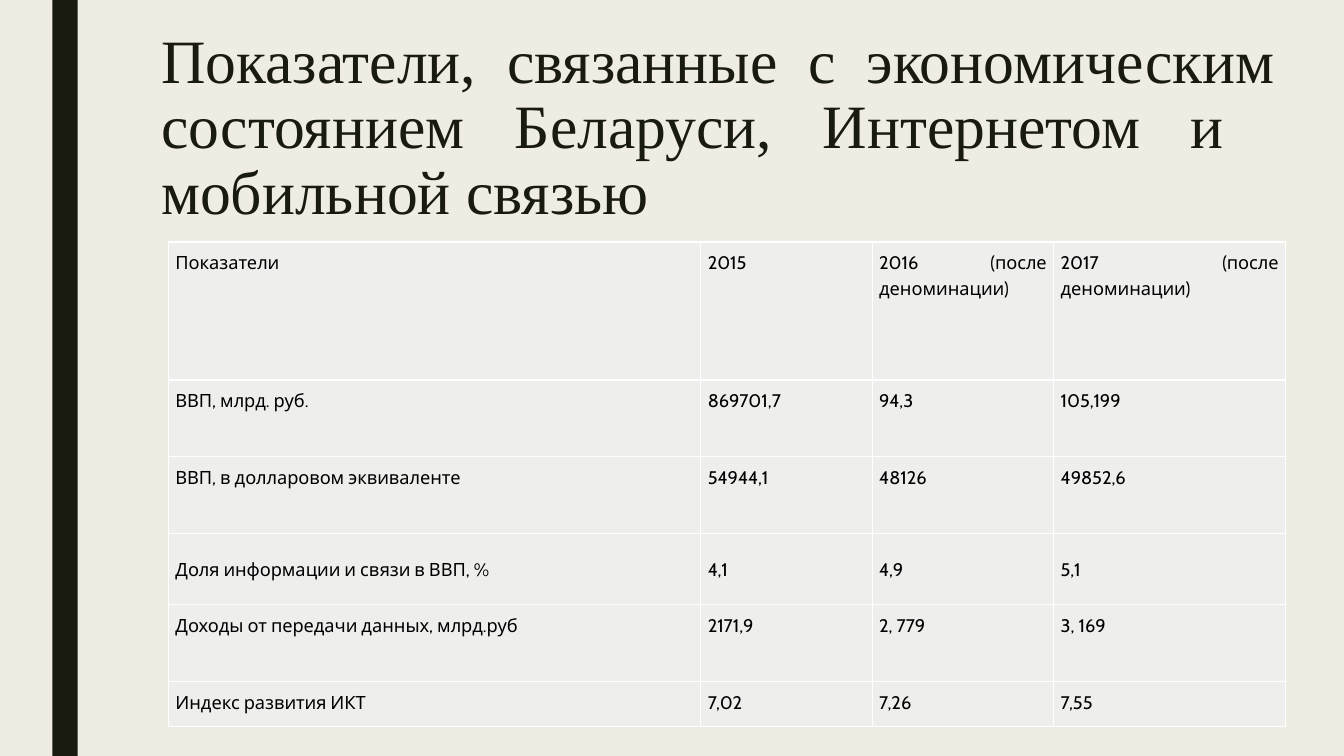
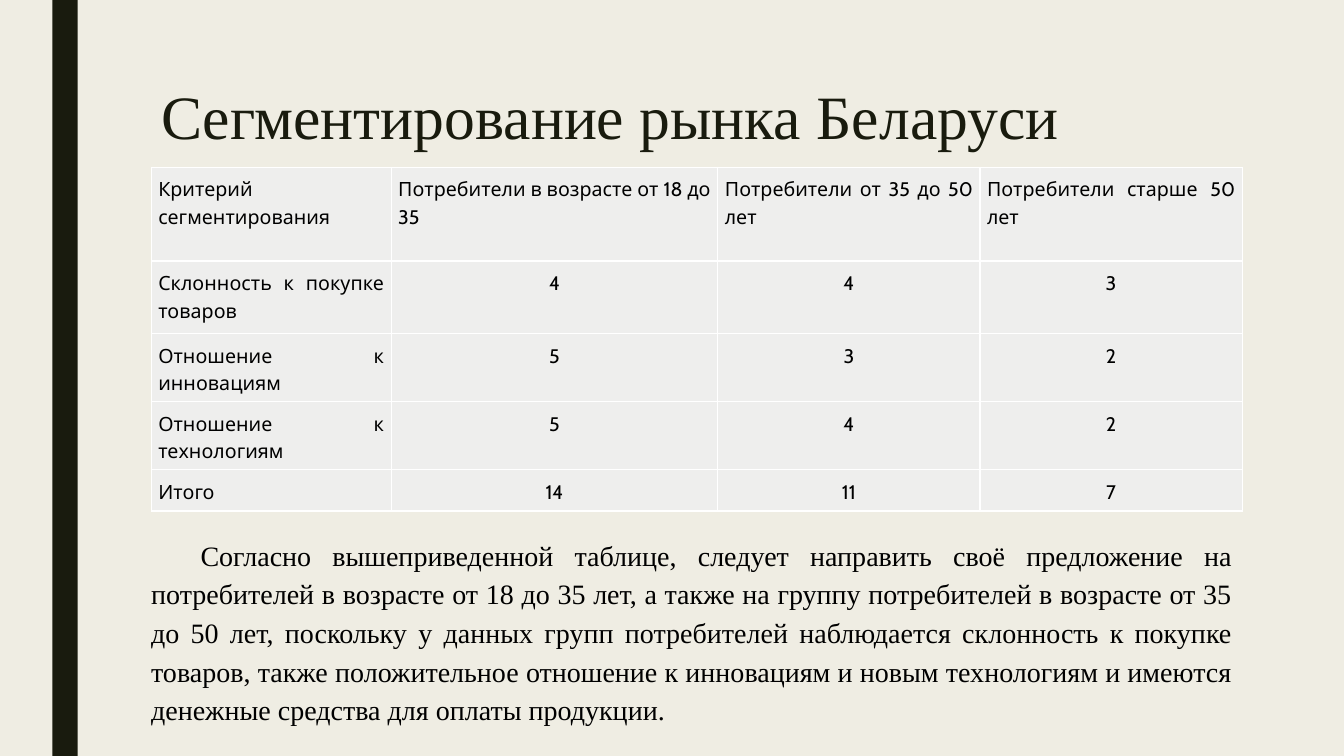
from lxml import etree
from pptx import Presentation
from pptx.dml.color import RGBColor
from pptx.enum.shapes import MSO_SHAPE
from pptx.enum.text import MSO_ANCHOR as Anchor, PP_ALIGN as Align
from pptx.oxml.ns import qn
from pptx.util import Inches, Pt

COLORS = {"background": "EFEDE3", "dark": "191B0E", "text": "000000",
          "cell": "EEEEED", "border": "FFFFFF"}
TITLE_FONT = BODY_FONT = "Times New Roman"
TABLE_FONT = "Cabin"
CELL_MARGIN = 0.07
LINE_SPACING = 1.15

# Content: boxes are left, top, width, height in inches
ECONOMY = {
    "title": "Показатели, связанные с экономическим состоянием Беларуси, "
             "Интернетом и  мобильной связью",
    "title_box": (1.5, 0.27, 11.25, 2.02),
    "title_align": Align.JUSTIFY,
    "table_origin": (1.67, 2.4),
    "font_size": 13,
    "value_align": Align.JUSTIFY,
    "columns": [5.28, 1.7, 1.8, 2.3],
    "heights": [1.37, 0.76, 0.76, 0.71, 0.76, 0.45],
    "rows": [
        ("Показатели", "2015", "2016 (после деноминации)", "2017 (после деноминации)"),
        ("ВВП, млрд. руб.", "869701,7", "94,3", "105,199"),
        ("ВВП, в долларовом эквиваленте", "54944,1", "48126", "49852,6"),
        ("Доля информации и связи в ВВП, %", "4,1", "4,9", "5,1"),
        ("Доходы от передачи данных, млрд.руб", "2171,9", "2, 779", "3, 169"),
        ("Индекс развития ИКТ", "7,02", "7,26", "7,55"),
    ],
    "spaced_from": 2,     # rows from here on have space after the text
    "middle_row": 3,
}
SEGMENTS = {
    "title": "Сегментирование рынка Беларуси",
    "title_box": (1.5, 0.75, 10.5, 0.87),
    "title_align": Align.LEFT,
    "table_origin": (1.5, 1.66),
    "font_size": 14,
    "value_align": Align.CENTER,
    "columns": [2.38, 3.24, 2.6, 2.6],
    "heights": [0.93, 0.72, 0.66, 0.66, 0.39],
    "rows": [
        ("Критерий сегментирования", "Потребители в возрасте от 18 до 35",
         "Потребители от 35 до 50 лет", "Потребители старше 50 лет"),
        ("Склонность к покупке товаров", "4", "4", "3"),
        ("Отношение к инновациям", "5", "3", "2"),
        ("Отношение к технологиям", "5", "4", "2"),
        ("Итого", "14", "11", "7"),
    ],
}
CONCLUSION_BOX = (1.4, 5.24, 10.92, 2.01)
CONCLUSION = (
    "Согласно вышеприведенной таблице, следует направить своё предложение на "
    "потребителей в возрасте от 18 до 35 лет, а также на группу потребителей в "
    "возрасте от 35 до 50 лет, поскольку у данных групп потребителей наблюдается "
    "склонность к покупке товаров, также положительное отношение к инновациям и "
    "новым технологиям и имеются денежные средства для оплаты продукции."
)


def color(name):
    return RGBColor.from_string(COLORS[name])


def write(frame, text, font, size, color_name, align, spacing=LINE_SPACING):
    paragraph = frame.paragraphs[0]
    paragraph.alignment = align
    paragraph.line_spacing = spacing
    run = paragraph.add_run()
    run.text = text
    run.font.name = font
    run.font.size = Pt(size)
    run.font.color.rgb = color(color_name)
    return paragraph


def add_text(slide, box, anchor, *text_style):
    frame = slide.shapes.add_textbox(*map(Inches, box)).text_frame
    frame.word_wrap = True
    frame.vertical_anchor = anchor
    return write(frame, *text_style)


def add_base_slide(presentation, content):
    slide = presentation.slides.add_slide(presentation.slide_layouts[6])
    slide.background.fill.solid()
    slide.background.fill.fore_color.rgb = color("background")
    # Vertical band
    band = slide.shapes.add_shape(MSO_SHAPE.RECTANGLE, Inches(0.52), 0,
                                  Inches(0.25), presentation.slide_height)
    band.shadow.inherit = False
    band.fill.solid()
    band.fill.fore_color.rgb = color("dark")
    band.line.fill.background()
    # Title
    add_text(slide, content["title_box"], Anchor.MIDDLE, content["title"],
             TITLE_FONT, 44, "dark", content["title_align"], 0.89)
    add_data_table(slide, content)
    return slide


def style_cell(cell):
    cell.margin_left = cell.margin_right = Inches(CELL_MARGIN)
    cell.margin_top = cell.margin_bottom = Inches(CELL_MARGIN)
    cell.fill.solid()
    cell.fill.fore_color.rgb = color("cell")
    # Borders come before the fill in the cell properties
    properties = cell._tc.get_or_add_tcPr()
    for index, side in enumerate(("a:lnL", "a:lnR", "a:lnT", "a:lnB")):
        line = etree.Element(qn(side), w=str(Pt(1)))
        fill = etree.SubElement(line, qn("a:solidFill"))
        etree.SubElement(fill, qn("a:srgbClr"), val=COLORS["border"])
        properties.insert(index, line)


def add_data_table(slide, content):
    rows, columns, heights = content["rows"], content["columns"], content["heights"]
    left, top = content["table_origin"]
    table = slide.shapes.add_table(
        len(rows), len(columns), Inches(left), Inches(top),
        Inches(sum(columns)), Inches(sum(heights))).table
    table.first_row = table.horz_banding = False
    for column, width in zip(table.columns, columns):
        column.width = Inches(width)
    for row, height in zip(table.rows, heights):
        row.height = Inches(height)

    for row_index, texts in enumerate(rows):
        is_middle = row_index == content.get("middle_row")
        for column_index, text in enumerate(texts):
            cell = table.cell(row_index, column_index)
            style_cell(cell)
            cell.vertical_anchor = Anchor.MIDDLE if is_middle else Anchor.TOP
            is_label = row_index == 0 or column_index == 0
            paragraph = write(
                cell.text_frame, text, TABLE_FONT, content["font_size"], "text",
                Align.JUSTIFY if is_label else content["value_align"],
                1.06 if is_middle else LINE_SPACING)
            if row_index >= content.get("spaced_from", len(rows)):
                paragraph.space_after = Pt(8)


def main():
    presentation = Presentation()
    presentation.slide_width = Inches(13.33)
    presentation.slide_height = Inches(7.5)

    add_base_slide(presentation, ECONOMY)

    # Segments slide closes with a conclusion under the table
    segments = add_base_slide(presentation, SEGMENTS)
    conclusion = add_text(segments, CONCLUSION_BOX, Anchor.TOP, CONCLUSION,
                          BODY_FONT, 20, "text", Align.JUSTIFY)
    conclusion._p.get_or_add_pPr().set("indent", str(Inches(0.49)))

    presentation.save("out.pptx")


if __name__ == "__main__":
    main()
